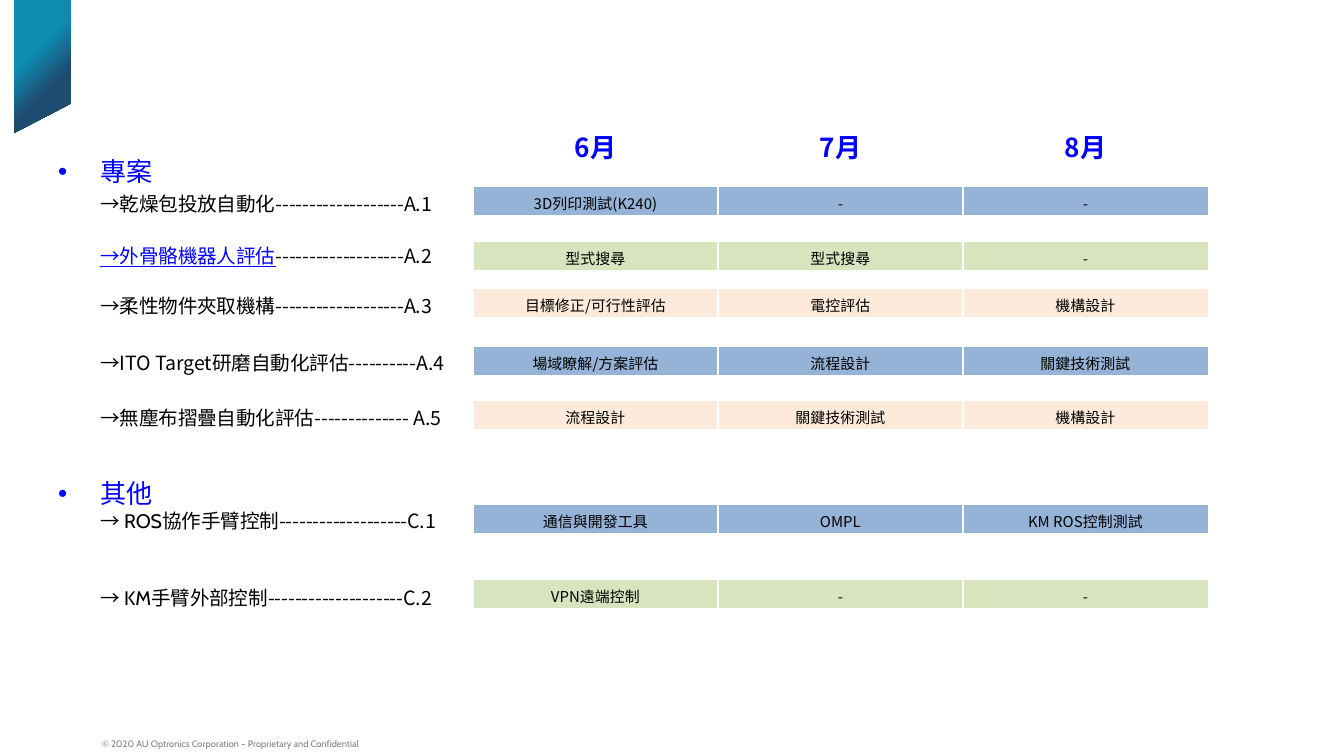
from lxml import etree
from pptx import Presentation
from pptx import util as u
from pptx.dml.color import RGBColor
from pptx.enum import text
from pptx.oxml.ns import qn

PX = 914400 / 134.4
SANS, LATIN = "Noto Sans CJK SC", "Cabin"
COLORS = {
    "teal": "0F8AB1", "navy": "1E4B70", "white": "FFFFFF", "black": "000000",
    "gray": "808080", "blue": "0000FF",
    "steel": "95B3D7", "green": "D7E4BD", "peach": "FDEADA",
}


def px(length):
    return u.Emu(round(length * PX))


def rgb(name):
    return RGBColor.from_string(COLORS[name])


class Deck:
    def __init__(self, width, height):
        self.presentation = Presentation()
        self.presentation.slide_width = px(width)
        self.presentation.slide_height = px(height)
        self.slide = self.presentation.slides.add_slide(
            self.presentation.slide_layouts[6])

    def set_font(self, font, size, color, name=SANS, bold=False):
        font.size, font.bold, font.name = u.Pt(size), bold, name
        font.color.rgb = rgb(color)
        etree.SubElement(font._rPr, qn("a:ea"), typeface=SANS)

    def ribbon(self, points):
        builder = self.slide.shapes.build_freeform(*points[0], scale=PX)
        builder.add_line_segments(points[1:], close=True)
        shape = builder.convert_to_shape()
        shape.shadow.inherit = False
        shape.line.fill.background()
        shape.fill.gradient()
        shape.fill.gradient_angle = 315
        stops = zip(shape.fill.gradient_stops, (0.39, 0.66), ("teal", "navy"))
        for stop, position, color in stops:
            stop.position = position
            stop.color.rgb = rgb(color)

    def text_box(self, left, top, width, height):
        frame = self.slide.shapes.add_textbox(
            px(left), px(top), px(width), px(height)).text_frame
        frame.word_wrap = True
        return frame

    def footer(self, left, top, width, height, content):
        frame = self.text_box(left, top, width, height)
        frame.vertical_anchor = text.MSO_ANCHOR.BOTTOM
        paragraph = frame.paragraphs[0]
        paragraph.text = content
        paragraph.line_spacing = 0.8
        self.set_font(paragraph.font, 5, "gray", LATIN)

    def outline(self, left, top, width, height, lines, indent=42, pitch=24):
        """Lines are (space before, heading?, runs); a run is (text, mark)."""
        frame = self.text_box(left, top, width, height)
        for index, (gap, heading, runs) in enumerate(lines):
            paragraph = frame.add_paragraph() if index else frame.paragraphs[0]
            paragraph.line_spacing = u.Pt(round(pitch * PX / 12700, 2))
            paragraph.space_before = px(gap)
            properties = paragraph._p.get_or_add_pPr()
            properties.set("marL", str(px(indent)))
            properties.set("indent", str(-px(indent) if heading else 0))
            if heading:
                etree.SubElement(properties, qn("a:buFont"), typeface="Arial")
                etree.SubElement(properties, qn("a:buChar"), char="•")
            else:
                etree.SubElement(properties, qn("a:buNone"))
            self.set_font(paragraph.font, 14 if heading else 10.5,
                          "blue" if heading else "black")
            for content, mark in runs:
                run = paragraph.add_run()
                run.text = content
                if mark == "latin":
                    run.font.name = LATIN
                elif mark == "link":
                    run.font.underline = True
                    run.font.color.rgb = rgb("blue")

    def row_table(self, left, top, height, fill, labels, size=8, color="black",
                  bold=False, anchor=text.MSO_ANCHOR.MIDDLE, margins=(5, 2),
                  column=245):
        table = self.slide.shapes.add_table(
            1, len(labels), px(left), px(top),
            px(column * len(labels)), px(height)).table
        table.first_row = table.horz_banding = False
        for cell, label in zip(table.rows[0].cells, labels):
            cell.margin_top, cell.margin_bottom = map(px, margins)
            cell.vertical_anchor = anchor
            self.white_borders(cell)
            cell.fill.solid()
            cell.fill.fore_color.rgb = rgb(fill)
            paragraph = cell.text_frame.paragraphs[0]
            paragraph.text = label
            paragraph.alignment = text.PP_ALIGN.CENTER
            self.set_font(paragraph.font, size, color, bold=bold)

    def white_borders(self, cell):
        properties = cell._tc.get_or_add_tcPr()
        for side, points in (("L", 1), ("R", 0.5), ("T", 0.5), ("B", 1)):
            line = etree.SubElement(properties, qn(f"a:ln{side}"),
                                    w=str(u.Pt(points)))
            fill = etree.SubElement(line, qn("a:solidFill"))
            etree.SubElement(fill, qn("a:srgbClr"), val=COLORS["white"])


OUTLINE = [
    (0, True, [("專案", "")]),
    (5, False, [("→乾燥包投放自動化-------------------A.1", "")]),
    (28, False, [("→外骨骼機器人評估", "link"),
                 ("-------------------A.2", "")]),
    (26, False, [("→柔性物件夾取機構-------------------A.3", "")]),
    (33, False, [("→ITO Target研磨自動化評估----------A.4", "")]),
    (31, False, [("→無塵布摺疊自動化評估-------------- A.5", "")]),
    (55, True, [("其他", "")]),
    (0, False, [("→ ", ""), ("ROS協作手臂控制", "latin"),
                ("-------------------C.1", "")]),
    (53, False, [("→ ", ""), ("KM手臂外部控制", "latin"),
                 ("--------------------C.2", "")]),
]

SCHEDULE = [
    (186, "steel", ("3D列印測試(K240)", "-", "-")),
    (241, "green", ("型式搜尋", "型式搜尋", "-")),
    (288, "peach", ("目標修正/可行性評估", "電控評估", "機構設計")),
    (346, "steel", ("場域瞭解/方案評估", "流程設計", "關鍵技術測試")),
    (400, "peach", ("流程設計", "關鍵技術測試", "機構設計")),
    (504, "steel", ("通信與開發工具", "OMPL", "KM ROS控制測試")),
    (579, "green", ("VPN遠端控制", "-", "-")),
]


def main():
    deck = Deck(1344, 756)
    deck.ribbon([(14, 0), (71, 0), (70, 104), (14, 133)])
    deck.footer(89, 732, 504, 24,
                "© 2020 AU Optronics Corporation – Proprietary and Confidential")
    deck.outline(45, 156, 448, 486, OUTLINE)
    deck.row_table(473, 120, 55, "white", ("6月", "7月", "8月"), size=14,
                   color="blue", bold=True, anchor=text.MSO_ANCHOR.TOP,
                   margins=(7, 7))
    for top, fill, labels in SCHEDULE:
        deck.row_table(473, top, 30, fill, labels)
    deck.presentation.save("out.pptx")


if __name__ == "__main__":
    main()
